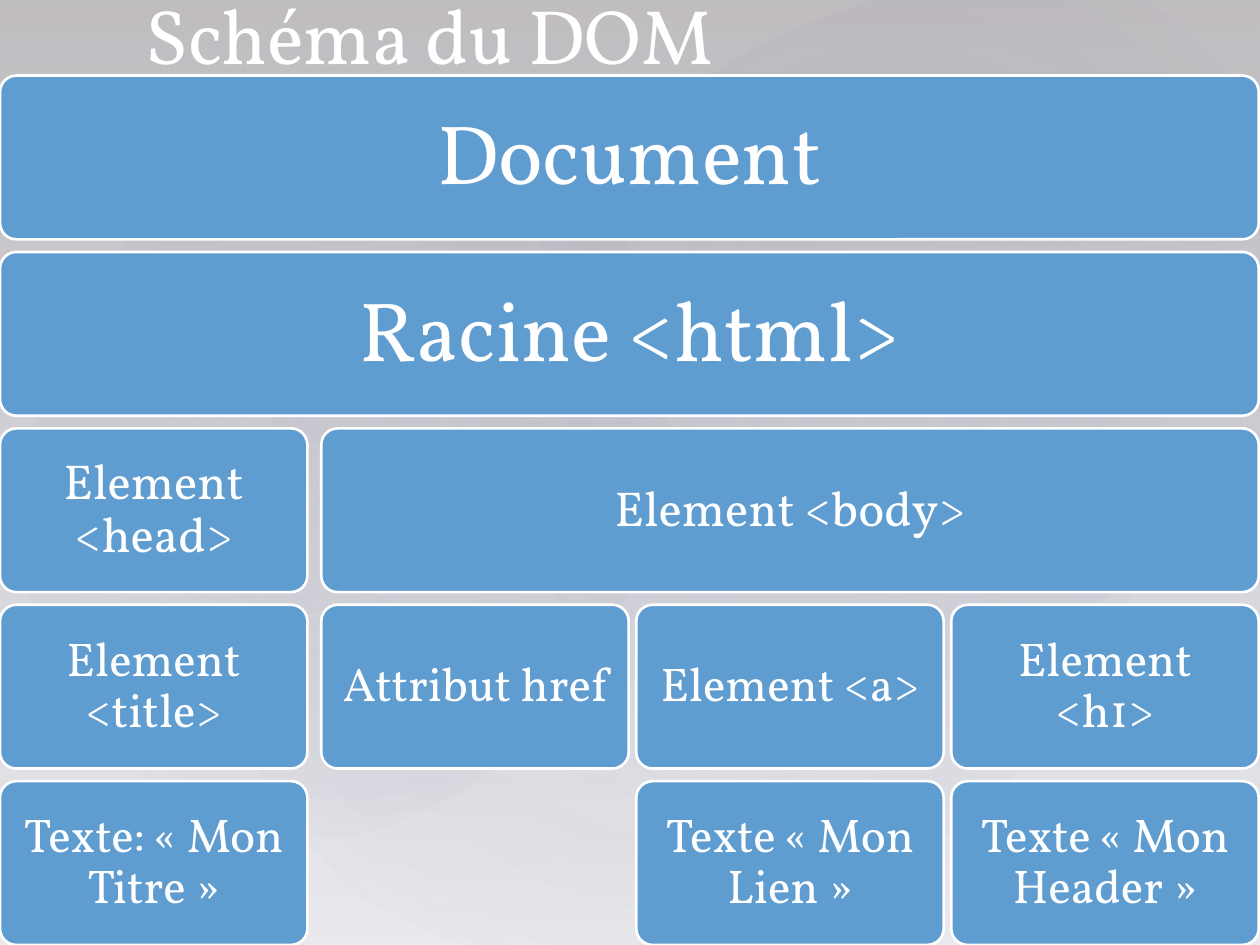
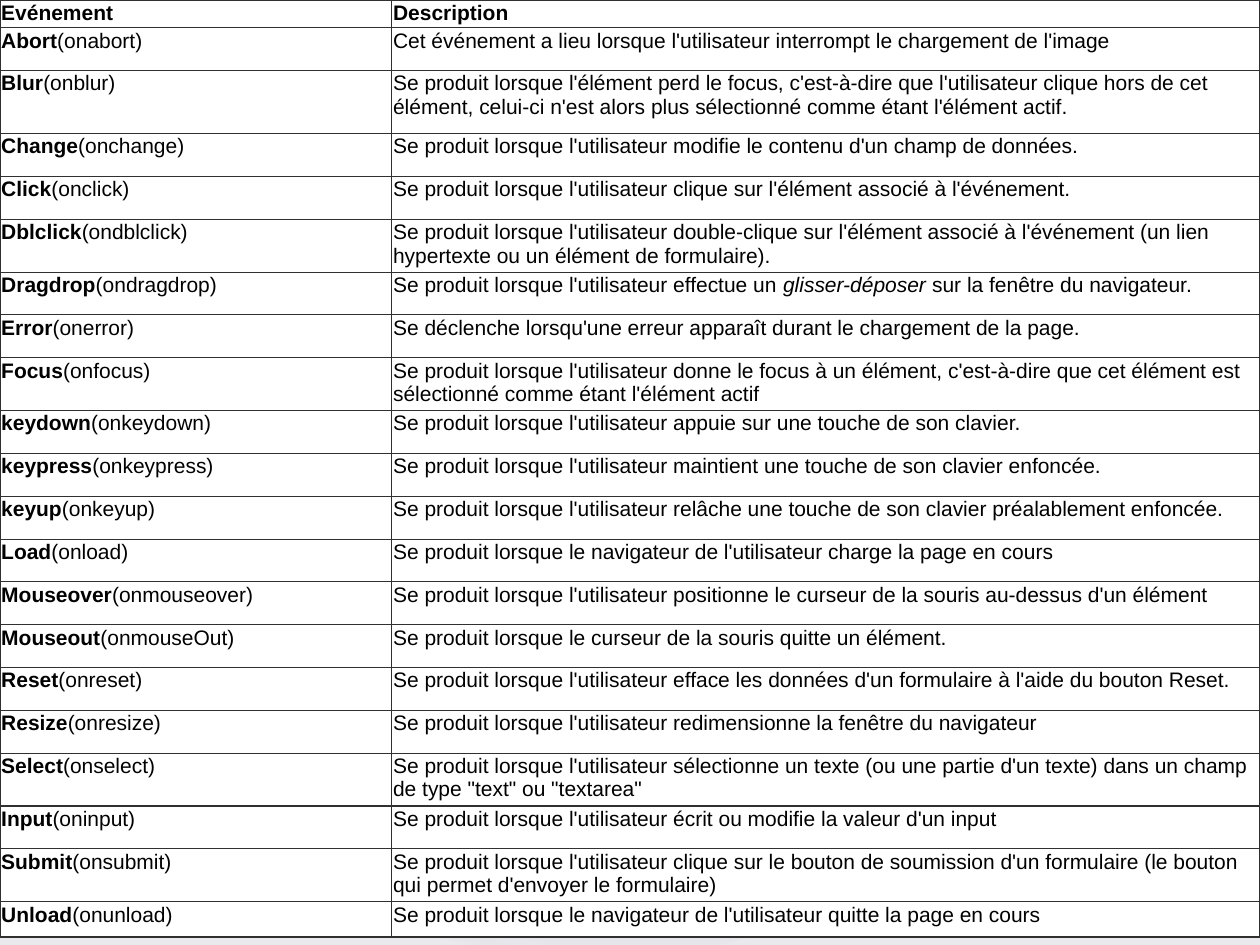
from dataclasses import dataclass
from typing import NamedTuple

from pptx import Presentation
from pptx.dml.color import RGBColor
from pptx.enum.shapes import MSO_SHAPE
from pptx.enum.text import MSO_ANCHOR, PP_ALIGN
from pptx.oxml import parse_xml
from pptx.oxml.ns import nsdecls, qn
from pptx.util import Inches, Pt

RECTANGLE = MSO_SHAPE.RECTANGLE
OVAL = MSO_SHAPE.OVAL
ROUNDED = MSO_SHAPE.ROUNDED_RECTANGLE
MIDDLE = MSO_ANCHOR.MIDDLE
BOTTOM = MSO_ANCHOR.BOTTOM
CENTER = PP_ALIGN.CENTER


@dataclass(frozen=True)
class Theme:
    white: str = "FFFFFF"
    black: str = "000000"
    node: str = "5F9DD1"
    border: str = "303030"
    dusk: str = "4F4651"
    navy: str = "242852"
    mist: str = "C3BCC5"
    display: str = "Vollkorn"
    body: str = "Arial"
    title_size: float = 44.1
    root_size: float = 48
    branch_size: float = 28
    leaf_size: float = 27
    table_size: float = 12


THEME = Theme()


class Stop(NamedTuple):
    position: int
    color: str
    opacity: int


class Glow(NamedTuple):
    left: float
    top: float
    width: float
    height: float
    rotation: float
    opacity: int


class Level(NamedTuple):
    size: float
    inset: float


class Node(NamedTuple):
    text: str
    row: int
    column: int
    span: int
    level: Level


class Event(NamedTuple):
    name: str
    handler: str
    description: str
    height: float = 0.34


GLOWS = (
    Glow(1.5, 1.14, 7.92, 6.24, 328.7, 7),
    Glow(-0.3, 1.28, 6.06, 4.9, 294.3, 8),
    Glow(3.58, 0.13, 7.09, 5.2, 328.7, 8),
)

ROOT = Level(THEME.root_size, 0.2)
BRANCH = Level(THEME.branch_size, 0.12)
LEAF = Level(THEME.leaf_size, 0.11)

NODES = (
    Node("Document", 0, 0, 4, ROOT),
    Node("Racine <html>", 1, 0, 4, ROOT),
    Node("Element <head>", 2, 0, 1, BRANCH),
    Node("Element <title>", 3, 0, 1, LEAF),
    Node("Texte: « Mon Titre »", 4, 0, 1, LEAF),
    Node("Element <body>", 2, 1, 3, BRANCH),
    Node("Attribut href", 3, 1, 1, LEAF),
    Node("Element <a>", 3, 2, 1, LEAF),
    Node("Texte « Mon Lien »", 4, 2, 1, LEAF),
    Node("Element <h1>", 3, 3, 1, LEAF),
    Node("Texte « Mon Header »", 4, 3, 1, LEAF),
)

NODE_TOP, NODE_HEIGHT, ROW_PITCH = 0.6, 1.3, 1.4
NODE_WIDTH, COLUMN_PITCH, BODY_LEFT = 2.44, 2.5, 2.55

HEADINGS = ("Evénement", "Description")
HEADING_HEIGHT = 0.07
COLUMN_WIDTHS = (3.11, 6.89)
CELL_INSET = 0.01

EVENTS = (
    Event("Abort", "onabort", "Cet événement a lieu lorsque l'utilisateur interrompt le chargement de l'image"),
    Event("Blur", "onblur", "Se produit lorsque l'élément perd le focus, c'est-à-dire que l'utilisateur clique hors "
          "de cet élément, celui-ci n'est alors plus sélectionné comme étant l'élément actif.", 0.5),
    Event("Change", "onchange", "Se produit lorsque l'utilisateur modifie le contenu d'un champ de données."),
    Event("Click", "onclick", "Se produit lorsque l'utilisateur clique sur l'élément associé à l'événement."),
    Event("Dblclick", "ondblclick", "Se produit lorsque l'utilisateur double-clique sur l'élément associé à "
          "l'événement (un lien hypertexte ou un élément de formulaire)."),
    Event("Dragdrop", "ondragdrop", "Se produit lorsque l'utilisateur effectue un *glisser-déposer* sur la "
          "fenêtre du navigateur."),
    Event("Error", "onerror", "Se déclenche lorsqu'une erreur apparaît durant le chargement de la page."),
    Event("Focus", "onfocus", "Se produit lorsque l'utilisateur donne le focus à un élément, c'est-à-dire que cet "
          "élément est sélectionné comme étant l'élément actif"),
    Event("keydown", "onkeydown", "Se produit lorsque l'utilisateur appuie sur une touche de son clavier."),
    Event("keypress", "onkeypress", "Se produit lorsque l'utilisateur maintient une touche de son clavier enfoncée."),
    Event("keyup", "onkeyup", "Se produit lorsque l'utilisateur relâche une touche de son clavier préalablement "
          "enfoncée."),
    Event("Load", "onload", "Se produit lorsque le navigateur de l'utilisateur charge la page en cours"),
    Event("Mouseover", "onmouseover", "Se produit lorsque l'utilisateur positionne le curseur de la souris "
          "au-dessus d'un élément"),
    Event("Mouseout", "onmouseOut", "Se produit lorsque le curseur de la souris quitte un élément."),
    Event("Reset", "onreset", "Se produit lorsque l'utilisateur efface les données d'un formulaire à l'aide du "
          "bouton Reset."),
    Event("Resize", "onresize", "Se produit lorsque l'utilisateur redimensionne la fenêtre du navigateur"),
    Event("Select", "onselect", "Se produit lorsque l'utilisateur sélectionne un texte (ou une partie d'un texte) "
          "dans un champ de type \"text\" ou \"textarea\""),
    Event("Input", "oninput", "Se produit lorsque l'utilisateur écrit ou modifie la valeur d'un input"),
    Event("Submit", "onsubmit", "Se produit lorsque l'utilisateur clique sur le bouton de soumission d'un "
          "formulaire (le bouton qui permet d'envoyer le formulaire)"),
    Event("Unload", "onunload", "Se produit lorsque le navigateur de l'utilisateur quitte la page en cours", 0.28),
)


def add_span(para, text: str, *, size: float, font: str = THEME.display, color: str = THEME.white,
             bold: bool = False, italic: bool = False) -> None:
    span = para.add_run()
    span.text = text
    span.font.size = Pt(size)
    span.font.name = font
    span.font.bold = bold
    span.font.italic = italic
    span.font.color.rgb = RGBColor.from_string(color)


def set_insets(holder, horizontal: float, vertical: float) -> None:
    holder.margin_left = holder.margin_right = Inches(horizontal)
    holder.margin_top = holder.margin_bottom = Inches(vertical)


def add_box(page, kind, left: float, top: float, width: float, height: float):
    box = page.shapes.add_shape(kind, Inches(left), Inches(top), Inches(width), Inches(height))
    box.shadow.inherit = False
    return box


def fill_gradient(box, stops: tuple[Stop, ...], direction: str) -> None:
    box.line.fill.background()
    box.fill.background()
    marks = "".join(
        f'<a:gs pos="{stop.position * 1000}"><a:srgbClr val="{stop.color}">'
        f'<a:alpha val="{stop.opacity * 1000}"/></a:srgbClr></a:gs>'
        for stop in stops
    )
    gradient = parse_xml(f'<a:gradFill {nsdecls("a")} rotWithShape="1"><a:gsLst>{marks}</a:gsLst>'
                         f'{direction}</a:gradFill>')
    properties = box._element.spPr
    properties.replace(properties.find(qn("a:noFill")), gradient)


def add_background(page) -> None:
    veil = add_box(page, RECTANGLE, 0, 0, 10, 7.5)
    fill_gradient(veil, (Stop(0, THEME.dusk, 36), Stop(100, THEME.navy, 10)),
                  '<a:lin ang="5400000" scaled="0"/>')
    for glow in GLOWS:
        oval = add_box(page, OVAL, glow.left, glow.top, glow.width, glow.height)
        oval.rotation = glow.rotation
        stops = (Stop(0, THEME.mist, glow.opacity), Stop(58, THEME.navy, 0), Stop(100, THEME.navy, 0))
        fill_gradient(oval, stops, '<a:path path="circle">'
                      '<a:fillToRect l="50000" t="50000" r="50000" b="50000"/></a:path>')


def add_title(page, text: str) -> None:
    box = page.shapes.add_textbox(Inches(1.06), Inches(-0.01), Inches(8.2), Inches(0.69))
    frame = box.text_frame
    frame.word_wrap = True
    frame.vertical_anchor = BOTTOM
    set_insets(frame, 0.1, 0.05)
    add_span(frame.paragraphs[0], text, size=THEME.title_size)


def column_left(column: int) -> float:
    return BODY_LEFT + (column - 1) * COLUMN_PITCH if column else 0


def add_node(page, node: Node) -> None:
    left = column_left(node.column)
    width = column_left(node.column + node.span - 1) + NODE_WIDTH - left
    box = add_box(page, ROUNDED, left, NODE_TOP + node.row * ROW_PITCH, width, NODE_HEIGHT)
    box.adjustments[0] = 0.1
    box.fill.solid()
    box.fill.fore_color.rgb = RGBColor.from_string(THEME.node)
    box.line.color.rgb = RGBColor.from_string(THEME.white)
    box.line.width = Pt(1.5)
    frame = box.text_frame
    frame.word_wrap = True
    frame.vertical_anchor = MIDDLE
    set_insets(frame, node.level.inset, node.level.inset)
    para = frame.paragraphs[0]
    para.alignment = CENTER
    para.line_spacing = 0.9
    add_span(para, node.text, size=node.level.size)


def style_cell(cell) -> None:
    set_insets(cell, CELL_INSET, CELL_INSET)
    cell.fill.solid()
    cell.fill.fore_color.rgb = RGBColor.from_string(THEME.white)
    properties = cell._tc.get_or_add_tcPr()
    for index, side in enumerate("LRTB"):
        properties.insert(index, parse_xml(
            f'<a:ln{side} {nsdecls("a")} w="{Pt(0.75)}"><a:solidFill>'
            f'<a:srgbClr val="{THEME.border}"/></a:solidFill></a:ln{side}>'))


def add_cell_span(cell, text: str, *, bold: bool = False, italic: bool = False) -> None:
    add_span(cell.text_frame.paragraphs[0], text, size=THEME.table_size, font=THEME.body,
             color=THEME.black, bold=bold, italic=italic)


def add_event_table(page) -> None:
    heights = (HEADING_HEIGHT, *(event.height for event in EVENTS))
    frame = page.shapes.add_table(len(heights), len(HEADINGS), 0, 0,
                                  Inches(sum(COLUMN_WIDTHS)), Inches(sum(heights)))
    table = frame.table
    for column, width in zip(table.columns, COLUMN_WIDTHS):
        column.width = Inches(width)
    for row, height in zip(table.rows, heights):
        row.height = Inches(height)
    for cell in table.iter_cells():
        style_cell(cell)
    for column, heading in enumerate(HEADINGS):
        add_cell_span(table.cell(0, column), heading, bold=True)
    for row, event in enumerate(EVENTS, start=1):
        add_cell_span(table.cell(row, 0), event.name, bold=True)
        add_cell_span(table.cell(row, 0), f"({event.handler})")
        for index, part in enumerate(event.description.split("*")):
            add_cell_span(table.cell(row, 1), part, italic=index % 2 == 1)


def add_page(deck):
    page = deck.slides.add_slide(deck.slide_layouts[6])
    add_background(page)
    return page


def main() -> None:
    deck = Presentation()
    deck.slide_width, deck.slide_height = Inches(10), Inches(7.5)
    tree_page = add_page(deck)
    for node in NODES:
        add_node(tree_page, node)
    add_title(tree_page, "Schéma du DOM")
    add_event_table(add_page(deck))
    deck.save("out.pptx")


if __name__ == "__main__":
    main()
